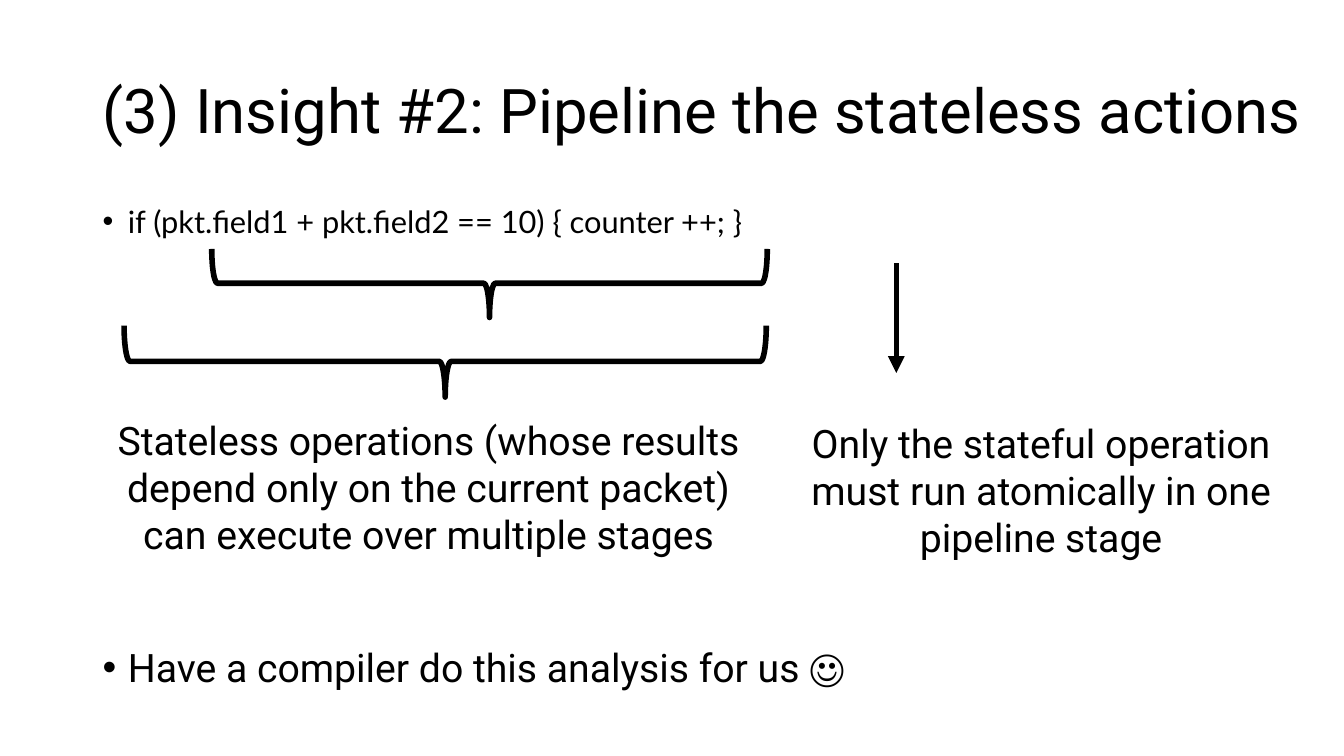
from lxml import etree
from pptx import Presentation
from pptx.dml.color import RGBColor
from pptx.enum.shapes import MSO_CONNECTOR as CONN, MSO_SHAPE as SHAPE
from pptx.enum.text import MSO_ANCHOR as ANCHOR, MSO_AUTO_SIZE as FIT, PP_ALIGN as ALIGN
from pptx.oxml.ns import qn
from pptx.util import Pt

PX = 9144
COLORS = {"ink": "000000", "paper": "FFFFFF"}


def px(*lengths):
    return [round(n * PX) for n in lengths]


def color(name):
    return RGBColor.from_string(COLORS[name])


def add_run(p, text, size, font="Roboto"):
    r = p.add_run()
    r.text = text
    r.font.size = Pt(size)
    r.font.name = font
    r.font.color.rgb = color("ink")


def draw_line(line):
    line.color.rgb = color("ink")
    line.width = Pt(4)


def add_title(s, box, text):
    sp = s.shapes.title
    sp.left, sp.top, sp.width, sp.height = px(*box)
    tf = sp.text_frame
    tf.auto_size = FIT.NONE
    tf.vertical_anchor = ANCHOR.MIDDLE
    p = tf.paragraphs[0]
    p.alignment = ALIGN.LEFT
    p.line_spacing = 0.9
    add_run(p, text, 44)


def add_text_box(s, box):
    tf = s.shapes.add_textbox(*px(*box)).text_frame
    tf.word_wrap = True
    return tf


def add_bullets(s, box, items, gap):
    tf = add_text_box(s, box)
    for i, (text, size, font) in enumerate(items):
        p = tf.add_paragraph() if i else tf.paragraphs[0]
        indent, = px(25)
        pPr = p._p.get_or_add_pPr()
        pPr.set("marL", str(indent))
        pPr.set("indent", str(-indent))
        etree.SubElement(pPr, qn("a:buFont")).set("typeface", "Arial")
        etree.SubElement(pPr, qn("a:buChar")).set("char", "•")
        p.line_spacing = 0.9
        if i:
            p.space_before = Pt(gap)
        add_run(p, text, size, font)


def add_brace(s, box):
    x, y, w, h = box
    shift = (w - h) / 2
    sp = s.shapes.add_shape(SHAPE.RIGHT_BRACE, *px(x + shift, y - shift, h, w))
    sp.rotation = 90
    sp.shadow.inherit = False
    sp.fill.background()
    draw_line(sp.line)


def add_caption(s, box, text):
    p = add_text_box(s, box).paragraphs[0]
    p.alignment = ALIGN.CENTER
    add_run(p, text, 28)


def add_down_arrow(s, x, y, length):
    sp = s.shapes.add_connector(CONN.STRAIGHT, *px(x, y, x, y + length))
    draw_line(sp.line)
    etree.SubElement(sp.line._get_or_add_ln(), qn("a:tailEnd")).set("type", "triangle")
    etree.SubElement(sp._element.spPr, qn("a:effectLst"))


def add_stateless_part(s, x, y):
    add_brace(s, (x + 118, y, 551, 68))
    add_brace(s, (x + 31, y + 76, 637, 71))
    add_caption(s, (x, y + 161, 666, 151),
                "Stateless operations (whose results depend only on the current packet) "
                "can execute over multiple stages")


def add_stateful_part(s, x, y):
    add_down_arrow(s, x + 97, y, 109)
    add_caption(s, (x, y + 150, 481, 151),
                "Only the stateful operation must run atomically in one pipeline stage")


def main():
    prs = Presentation()
    prs.slide_width, prs.slide_height = px(1333, 750)
    s = prs.slides.add_slide(prs.slide_layouts[5])
    s.background.fill.solid()
    s.background.fill.fore_color.rgb = color("paper")
    add_title(s, (92, 40, 1216, 145), "(3) Insight #2: Pipeline the stateless actions")
    add_bullets(s, (92, 200, 1150, 550), [
        ("if (pkt.field1 + pkt.field2 == 10) { counter ++; }", 22, "Lato"),
        ("Have a compiler do this analysis for us ☺", 28, "Roboto"),
    ], gap=292)
    add_stateless_part(s, 92, 247)
    add_stateful_part(s, 792, 261)
    prs.save("out.pptx")


if __name__ == "__main__":
    main()
